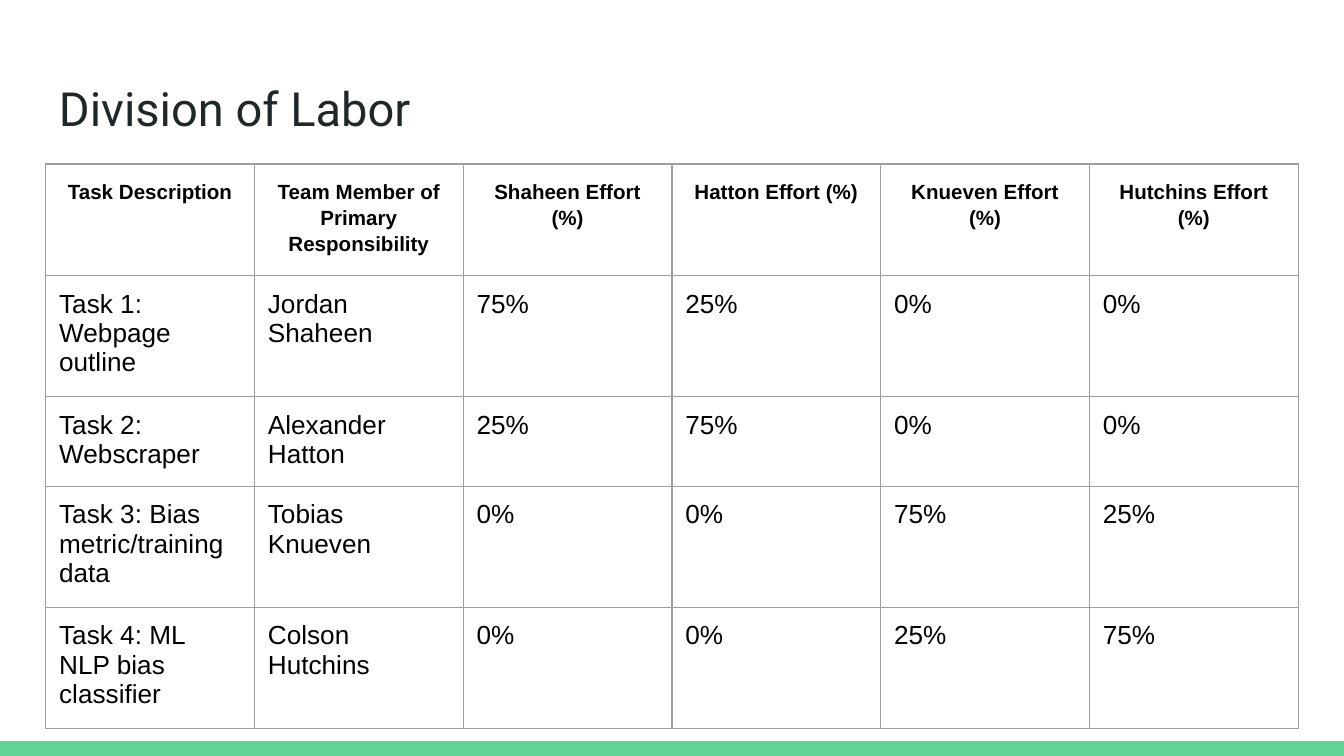
"""Build the Division of Labor slide."""
from lxml import etree
from pptx import Presentation
from pptx import util as u
from pptx.dml.color import RGBColor
from pptx.enum import shapes, text
from pptx.oxml import ns

WIDTH = u.Inches(10)
HEIGHT = WIDTH * 9 // 16
MARGIN = u.Inches(0.34)
CONTENT = WIDTH - 2 * MARGIN
INSET = u.Inches(0.1)
ROW = u.Pt(30)
FRAME = u.Inches(3.28)

MEMBERS = ["Shaheen", "Hatton", "Knueven", "Hutchins"]
HEADERS = ["Task Description", "Team Member of Primary Responsibility"]
HEADERS += [f"{name} Effort (%)" for name in MEMBERS]
TASKS = [
    ("Task 1: Webpage outline", "Jordan Shaheen", 75, 25, 0, 0),
    ("Task 2: Webscraper", "Alexander Hatton", 25, 75, 0, 0),
    ("Task 3: Bias metric/training data", "Tobias Knueven", 0, 0, 75, 25),
    ("Task 4: ML NLP bias classifier", "Colson Hutchins", 0, 0, 25, 75),
]


def rgb(value):
    """Turn a hex string into a colour."""
    return RGBColor.from_string(value)


def add_run(p, words, size, font="Arial", color="000000", bold=False):
    """Append a formatted run to a paragraph."""
    r = p.add_run()
    r.text = words
    r.font.size, r.font.name, r.font.bold = u.Pt(size), font, bold
    r.font.color.rgb = rgb(color)


def set_insets(box):
    """Give a cell or text frame equal margins."""
    box.margin_left = box.margin_right = INSET
    box.margin_top = box.margin_bottom = INSET


def add_footer_bar(s):
    """Draw the green bar along the bottom edge."""
    height = u.Inches(0.11)
    sp = s.shapes.add_shape(shapes.MSO_SHAPE.RECTANGLE, 0, HEIGHT - height, WIDTH, height)
    sp.shadow.inherit = False
    sp.fill.solid()
    sp.fill.fore_color.rgb = rgb("63D297")
    sp.line.fill.background()


def add_title(s, words):
    """Place the slide title."""
    sp = s.shapes.add_textbox(MARGIN, u.Inches(0.49), CONTENT, u.Inches(0.63))
    tf = sp.text_frame
    tf.word_wrap = True
    tf.vertical_anchor = text.MSO_ANCHOR.TOP
    set_insets(tf)
    add_run(tf.paragraphs[0], words, 25.2, "Roboto", "202729")


def set_borders(cell, color, width):
    """Outline all four sides of a cell."""
    tc_pr = cell._tc.get_or_add_tcPr()
    for side in ("a:lnL", "a:lnR", "a:lnT", "a:lnB"):
        ln = etree.SubElement(tc_pr, ns.qn(side), w=str(u.Pt(width)))
        fill = etree.SubElement(ln, ns.qn("a:solidFill"))
        etree.SubElement(fill, ns.qn("a:srgbClr"), val=color)


def fill_cell(cell, words, header):
    """Style a table cell and write its text."""
    set_insets(cell)
    set_borders(cell, "9E9E9E", 0.75)
    cell.fill.background()
    p = cell.text_frame.paragraphs[0]
    if header:
        p.alignment = text.PP_ALIGN.CENTER
        p.line_spacing = 1.15
    add_run(p, words, 11 if header else 14, bold=header)


def add_effort_table(s):
    """Add the table of tasks and effort shares."""
    rows = [HEADERS]
    rows += [[task, lead, *(f"{n}%" for n in efforts)] for task, lead, *efforts in TASKS]
    n_rows, n_cols = len(rows), len(HEADERS)
    frame = s.shapes.add_table(
        n_rows, n_cols, MARGIN, u.Inches(1.22), CONTENT, n_rows * ROW
    )
    frame.width = frame.height = FRAME
    table = frame.table
    table.first_row = table.horz_banding = False
    for i, row in enumerate(rows):
        for j, words in enumerate(row):
            fill_cell(table.cell(i, j), words, header=i == 0)


def main():
    """Build and save the slide."""
    prs = Presentation()
    prs.slide_width, prs.slide_height = WIDTH, HEIGHT
    s = prs.slides.add_slide(prs.slide_layouts[6])
    add_footer_bar(s)
    add_title(s, "Division of Labor")
    add_effort_table(s)
    prs.save("out.pptx")


if __name__ == "__main__":
    main()
